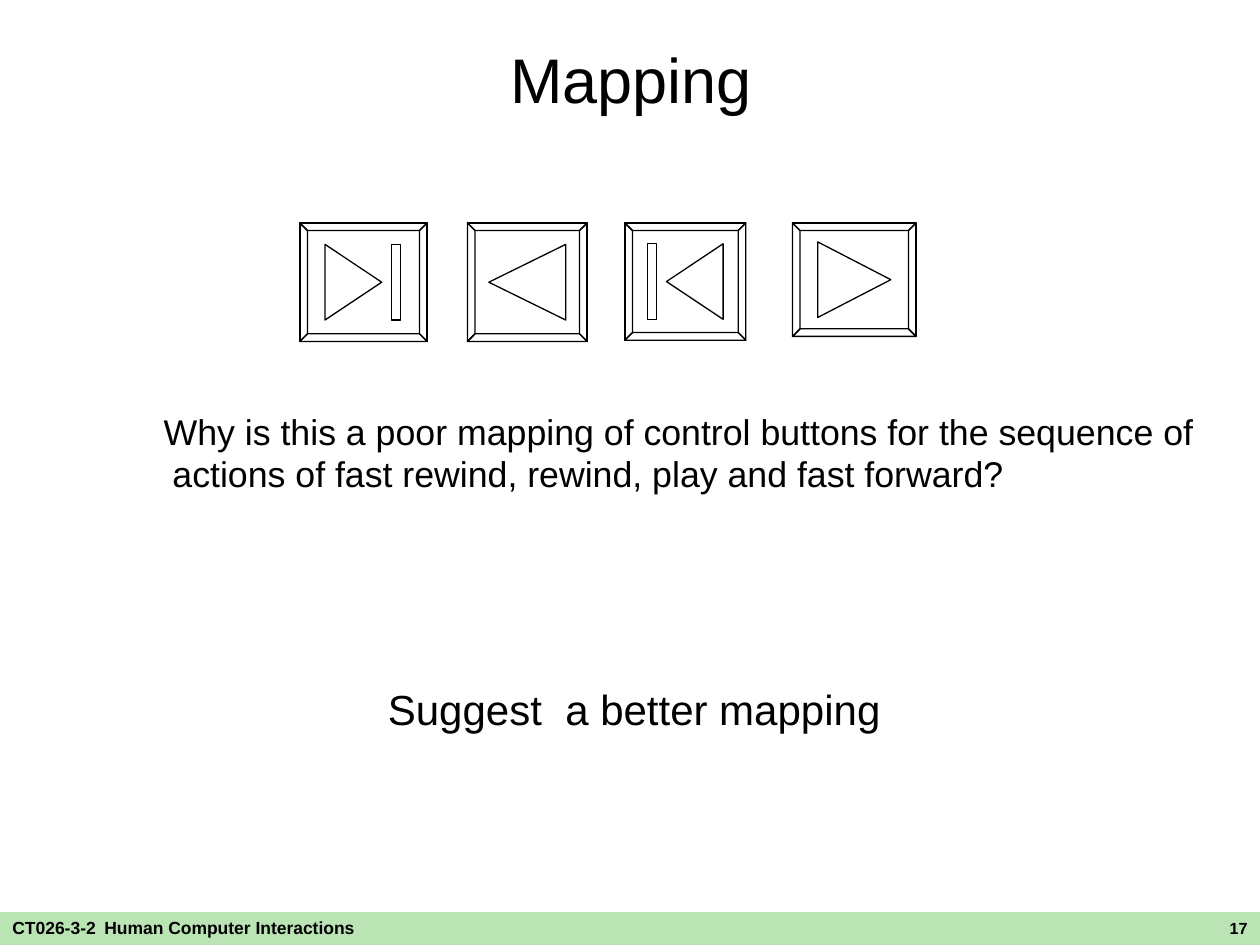
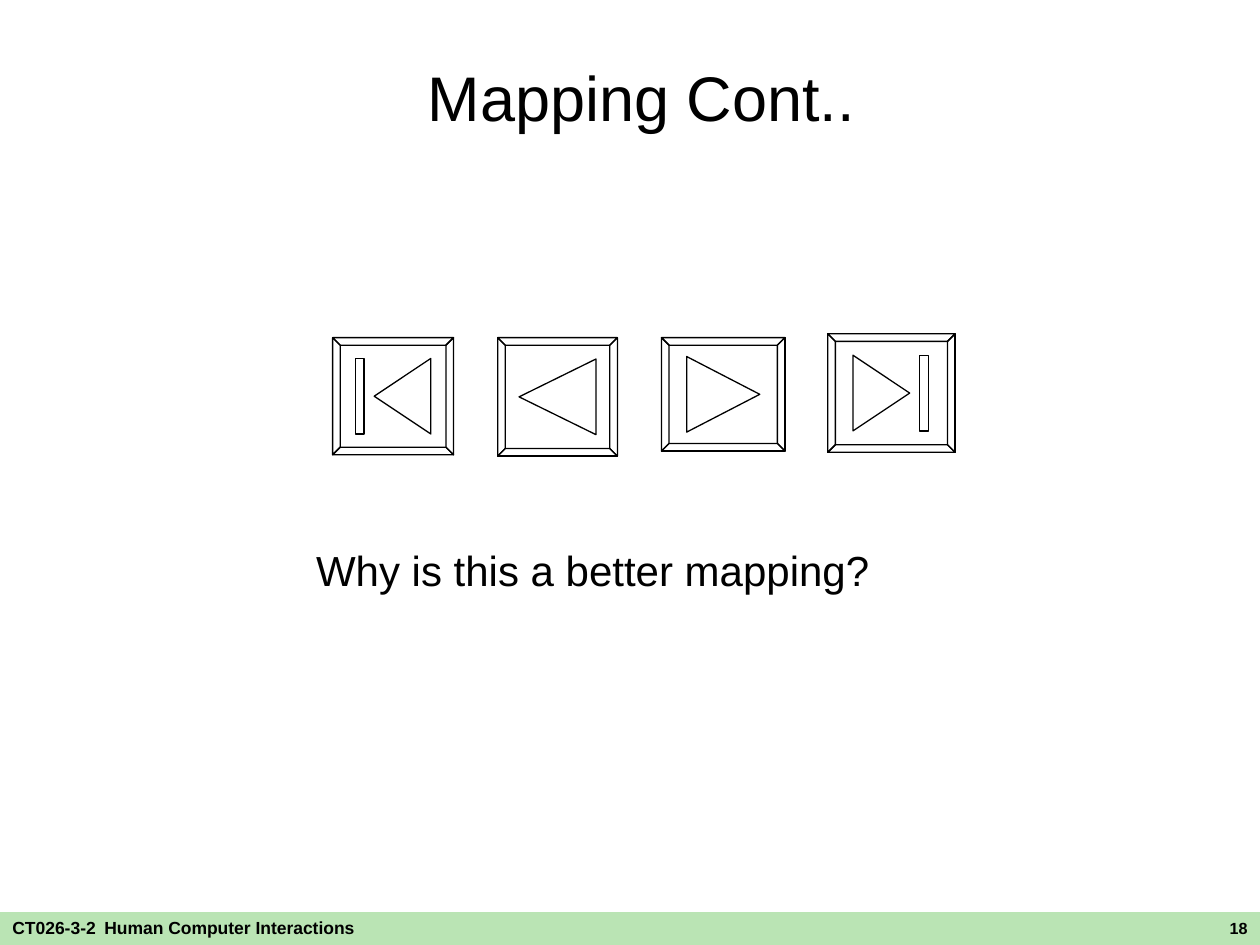
from pptx import Presentation
from pptx.dml.color import RGBColor
from pptx.enum.shapes import MSO_SHAPE
from pptx.enum.text import MSO_ANCHOR, MSO_AUTO_SIZE, PP_ALIGN
from pptx.util import Inches, Pt

INK, GREEN, FONT = "000000", "BAE4B4", "Arial"
BEVEL, HALF = 0.06, 0.3

# Each button: width, height, triangle base, triangle tip, bar left edge.
BUTTONS = {
    "play": (0.98, 0.9, 0.2, 0.78, None),
    "rewind": (0.95, 0.94, 0.78, 0.17, None),
    "start": (0.96, 0.93, 0.78, 0.33, 0.18),
    "end": (1.01, 0.94, 0.2, 0.65, 0.73),
}


def color(code):
    """Turn a hex string into a colour."""
    return RGBColor.from_string(code)


def style(run, size, bold=False):
    """Give a run the shared font."""
    run.font.name, run.font.size, run.font.bold = FONT, Pt(size), bold
    run.font.color.rgb = color(INK)


def write(slide, box, parts, align=PP_ALIGN.LEFT, left=0, first=0, space=1):
    """Place one paragraph made of (text, size, bold) parts."""
    frame = slide.shapes.add_textbox(*map(Inches, box)).text_frame
    frame.word_wrap = True
    para = frame.paragraphs[0]
    para.alignment, para.line_spacing = align, space
    if left:
        props = para._p.get_or_add_pPr()
        props.set("marL", str(Inches(left)))
        props.set("indent", str(Inches(first)))
    for text, size, bold in parts:
        run = para.add_run()
        run.text = text
        style(run, size, bold)


def footer(slide, number):
    """Draw the green band with course name and slide number."""
    band = slide.shapes.add_shape(
        MSO_SHAPE.RECTANGLE, *map(Inches, (0, 7.24, 10, 0.26)))
    band.shadow.inherit = False
    band.fill.solid()
    band.fill.fore_color.rgb = color(GREEN)
    band.line.fill.background()
    write(slide, (0, 7.12, 3.71, 0.28),
          [("CT026-3-2", 10, True), (" ", 18, False),
           ("Human Computer Interactions", 10, True)])
    write(slide, (6.83, 7.24, 3.17, 0.26), [(str(number), 9.2, True)],
          PP_ALIGN.RIGHT)


def button(slide, left, top, kind):
    """Draw a bevelled control button with its symbol."""
    wide, high, base, tip, bar = BUTTONS[kind]
    outer = [(0, 0), (wide, 0), (wide, high), (0, high)]
    right, low = wide - BEVEL, high - BEVEL
    inner = [(BEVEL, BEVEL), (right, BEVEL), (right, low), (BEVEL, low)]
    mid = high / 2
    loops = [outer]
    for i in range(4):
        j = (i + 1) % 4
        loops.append([outer[i], outer[j], inner[j], inner[i]])
    loops.append([(tip, mid), (base, mid - HALF), (base, mid + HALF)])
    if bar is not None:
        edge = bar + 0.07
        loops.append([(bar, mid - HALF), (edge, mid - HALF),
                      (edge, mid + HALF), (bar, mid + HALF)])
    pen = None
    for loop in loops:
        spots = [(Inches(left + x), Inches(top + y)) for x, y in loop]
        if pen is None:
            pen = slide.shapes.build_freeform(*spots[0])
        else:
            pen.move_to(*spots[0])
        pen.add_line_segments(spots[1:], close=True)
    shape = pen.convert_to_shape()
    shape.shadow.inherit = False
    shape.fill.background()
    shape.line.color.rgb = color(INK)
    shape.line.width = Pt(0.75)


def page(deck, number, title, left, top, keys):
    """Add a slide with title, footer and a row of buttons."""
    slide = deck.slides.add_slide(deck.slide_layouts[5])
    footer(slide, number)
    head = slide.shapes.title
    head.left, head.top, head.width, head.height = map(
        Inches, (left, top, 9, 1.25))
    frame = head.text_frame
    frame.text = title
    frame.auto_size = MSO_AUTO_SIZE.NONE
    frame.vertical_anchor = MSO_ANCHOR.MIDDLE
    frame.paragraphs[0].alignment = PP_ALIGN.CENTER
    style(frame.paragraphs[0].runs[0], 36)
    for key in keys:
        button(slide, *key)
    return slide


def main():
    """Build and save both slides."""
    deck = Presentation()
    deck.slide_width, deck.slide_height = Inches(10), Inches(7.5)

    poor = page(deck, 17, "Mapping", 0.51, 0, [
        (2.38, 1.77, "end"), (3.71, 1.77, "rewind"),
        (4.96, 1.77, "start"), (6.29, 1.77, "play")])
    write(poor, (0.89, 3.2, 8.81, 1.04),
          [("Why is this a poor mapping of control buttons for the sequence "
            "of actions of fast rewind, rewind, play and fast forward?",
            20.4, False)], left=0.38, first=-0.07)
    write(poor, (2.72, 5.42, 6.01, 0.72),
          [("Suggest  a better mapping", 24, False)], left=0.26, space=0.9)

    better = page(deck, 18, "Mapping Cont..", 0.59, 0.14, [
        (2.64, 2.68, "start"), (3.95, 2.68, "rewind"),
        (5.25, 2.68, "play"), (6.57, 2.65, "end")])
    write(better, (2.32, 4.32, 6.01, 0.72),
          [("Why is this a better mapping?", 24, False)], left=0.09, space=0.9)

    deck.save("out.pptx")


if __name__ == "__main__":
    main()
